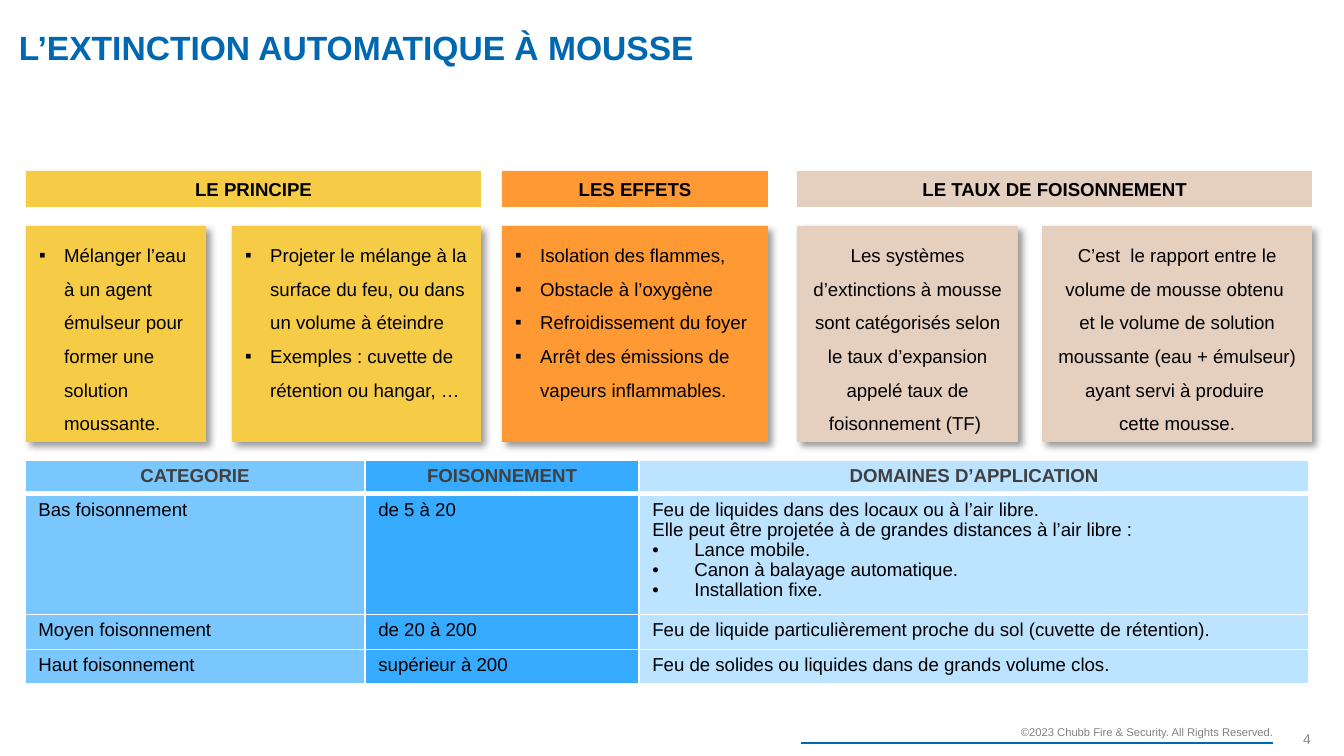
from lxml import etree
from pptx import Presentation
from pptx.dml.color import RGBColor
from pptx.enum.shapes import MSO_CONNECTOR, MSO_SHAPE
from pptx.enum.text import MSO_ANCHOR, PP_ALIGN
from pptx.oxml.ns import qn
from pptx.util import Emu, Pt

SCALE = 914400 / 134.4
LEFT, CENTER, RIGHT = PP_ALIGN.LEFT, PP_ALIGN.CENTER, PP_ALIGN.RIGHT
TOP, MIDDLE, BOTTOM = MSO_ANCHOR.TOP, MSO_ANCHOR.MIDDLE, MSO_ANCHOR.BOTTOM
RECTANGLE = MSO_SHAPE.RECTANGLE
STRAIGHT = MSO_CONNECTOR.STRAIGHT

FONT = "Arial"
BLUE, BLACK, WHITE, DARK = "0067B1", "000000", "FFFFFF", "404040"
YELLOW, ORANGE, BEIGE = "F6CB46", "FF9933", "E5CFBF"
COLUMN_FILLS = ["7AC7FF", "37ABFF", "BCE3FF"]
COLUMN_WIDTHS = [340, 274, 670]
ROW_HEIGHTS = [34, 117, 35, 34]
SQUARE, DOT = "▪", "•"

HEADINGS = [
    (26, 455, YELLOW, "LE PRINCIPE"),
    (502, 266, ORANGE, "LES EFFETS"),
    (797, 515, BEIGE, "LE TAUX DE FOISONNEMENT"),
]
CARDS = [
    (26, 180, YELLOW, SQUARE, [
        "Mélanger l’eau à un agent émulseur pour former une solution moussante."]),
    (232, 249, YELLOW, SQUARE, [
        "Projeter le mélange à la surface du feu, ou dans un volume à éteindre",
        "Exemples : cuvette de rétention ou hangar, …"]),
    (502, 266, ORANGE, SQUARE, [
        "Isolation des flammes,", "Obstacle à l’oxygène", "Refroidissement du foyer",
        "Arrêt des émissions de vapeurs inflammables."]),
    (797, 221, BEIGE, None, [
        "Les systèmes d’extinctions à mousse sont catégorisés selon le taux "
        "d’expansion appelé taux de foisonnement (TF) "]),
    (1042, 270, BEIGE, None, [
        "C’est  le rapport entre le volume de mousse obtenu ",
        "et le volume de solution moussante (eau + émulseur) ayant servi à produire ",
        "cette mousse."]),
]
TABLE_ROWS = [
    ("CATEGORIE", "FOISONNEMENT", "DOMAINES D’APPLICATION"),
    ("Bas foisonnement", "de 5 à 20", "Feu de liquides dans des locaux ou à l’air libre."),
    ("Moyen foisonnement", "de 20 à 200",
     "Feu de liquide particulièrement proche du sol (cuvette de rétention)."),
    ("Haut foisonnement", "supérieur à 200",
     "Feu de solides ou liquides dans de grands volume clos."),
]
LOW_RANGE = "Elle peut être projetée à de grandes distances à l’air libre :"
LOW_DEVICES = ["Lance mobile.", "Canon à balayage automatique.", "Installation fixe."]


def px(value):
    return Emu(round(value * SCALE))


def color(value):
    return RGBColor.from_string(value)


def set_bullet(paragraph, character, indent):
    properties = paragraph._p.get_or_add_pPr()
    properties.set("marL", str(px(indent)))
    properties.set("indent", str(-px(indent)))
    etree.SubElement(properties, qn("a:buFont"), typeface=FONT)
    etree.SubElement(properties, qn("a:buChar"), char=character)


def write(frame, lines, size=10, ink=BLACK, bold=False, align=LEFT, spacing=1.0,
          bullet=None, indent=25):
    for index, line in enumerate(lines):
        paragraph = frame.paragraphs[0] if index == 0 else frame.add_paragraph()
        paragraph.alignment = align
        paragraph.line_spacing = spacing
        paragraph.space_before = paragraph.space_after = Pt(0)
        if bullet:
            set_bullet(paragraph, bullet, indent)
        run = paragraph.add_run()
        run.text = line
        run.font.name = FONT
        run.font.size = Pt(size)
        run.font.bold = bold
        run.font.color.rgb = color(ink)


def clear_margins(frame, anchor):
    frame.word_wrap = True
    frame.vertical_anchor = anchor
    frame.margin_left = frame.margin_right = frame.margin_top = frame.margin_bottom = 0


def add_title(slide, text):
    title = slide.shapes.title
    title.left, title.top, title.width, title.height = px(19), px(11), px(989), px(77)
    clear_margins(title.text_frame, MIDDLE)
    write(title.text_frame, [text], 18, BLUE, True, spacing=0.9)


def add_label(slide, left, top, width, height, text, size, ink):
    box = slide.shapes.add_textbox(px(left), px(top), px(width), px(height))
    clear_margins(box.text_frame, BOTTOM)
    write(box.text_frame, [text], size, ink, align=RIGHT)


def add_panel(slide, left, top, width, height, fill):
    panel = slide.shapes.add_shape(RECTANGLE, px(left), px(top), px(width), px(height))
    panel.shadow.inherit = False
    panel.fill.solid()
    panel.fill.fore_color.rgb = color(fill)
    panel.line.fill.background()
    panel.text_frame.word_wrap = True
    panel.text_frame.vertical_anchor = TOP
    return panel


def add_heading(slide, left, width, fill, text):
    panel = add_panel(slide, left, 171, width, 36, fill)
    write(panel.text_frame, [text], bold=True, align=CENTER)


def add_card(slide, left, width, fill, bullet, lines):
    panel = add_panel(slide, left, 226, width, 216, fill)
    effects = panel._element.spPr.find(qn("a:effectLst"))
    shadow = etree.SubElement(effects, qn("a:outerShdw"), blurRad=str(Pt(4)),
                              dist=str(Pt(3)), dir="2700000", algn="tl", rotWithShape="0")
    ink = etree.SubElement(shadow, qn("a:srgbClr"), val=BLACK)
    etree.SubElement(ink, qn("a:alpha"), val="40000")
    write(panel.text_frame, lines, align=LEFT if bullet else CENTER,
          spacing=1.5, bullet=bullet)


def set_borders(cell, bottom):
    properties = cell._tc.get_or_add_tcPr()
    widths = {"a:lnL": 1, "a:lnR": 1, "a:lnT": 1, "a:lnB": bottom}
    for position, (tag, width) in enumerate(widths.items()):
        line = etree.Element(qn(tag), w=str(Pt(width)))
        fill = etree.SubElement(line, qn("a:solidFill"))
        etree.SubElement(fill, qn("a:srgbClr"), val=WHITE)
        properties.insert(position, line)


def add_category_table(slide):
    table = slide.shapes.add_table(
        len(TABLE_ROWS), len(COLUMN_WIDTHS), px(25), px(460),
        px(sum(COLUMN_WIDTHS)), px(sum(ROW_HEIGHTS))).table
    for column, width in zip(table.columns, COLUMN_WIDTHS):
        column.width = px(width)
    for row_index, (texts, height) in enumerate(zip(TABLE_ROWS, ROW_HEIGHTS)):
        table.rows[row_index].height = px(height)
        header = row_index == 0
        for column_index, (text, fill) in enumerate(zip(texts, COLUMN_FILLS)):
            cell = table.cell(row_index, column_index)
            cell.fill.solid()
            cell.fill.fore_color.rgb = color(fill)
            cell.margin_top = cell.margin_bottom = px(6)
            set_borders(cell, 3 if header else 1)
            write(cell.text_frame, [text], ink=DARK if header else BLACK, bold=header,
                  align=CENTER if header else LEFT, spacing=0.97)
    add_low_details(table.cell(1, 2).text_frame)


def add_low_details(frame):
    for line, bullet in [(LOW_RANGE, None)] + [(device, DOT) for device in LOW_DEVICES]:
        paragraph = frame.add_paragraph()
        paragraph.line_spacing = 0.97
        if bullet:
            set_bullet(paragraph, bullet, 42)
        run = paragraph.add_run()
        run.text = line
        run.font.name = FONT
        run.font.size = Pt(10)
        run.font.color.rgb = color(BLACK)


def add_footer(slide):
    add_label(slide, 70, 726, 1203, 13,
              "©2023 Chubb Fire & Security. All Rights Reserved.", 6, "808080")
    rule = slide.shapes.add_connector(STRAIGHT, px(801), px(743), px(1273), px(743))
    rule.line.color.rgb = color(BLUE)
    rule.line.width = Pt(1)
    etree.SubElement(rule._element.spPr, qn("a:effectLst"))
    add_label(slide, 1284, 727, 27, 20, "4", 7.5, "868686")


def main():
    presentation = Presentation()
    presentation.slide_width, presentation.slide_height = px(1344), px(756)
    slide = presentation.slides.add_slide(presentation.slide_layouts[5])
    add_title(slide, "L’EXTINCTION AUTOMATIQUE À MOUSSE")
    add_footer(slide)
    for heading in HEADINGS:
        add_heading(slide, *heading)
    for card in CARDS:
        add_card(slide, *card)
    add_category_table(slide)
    presentation.save("out.pptx")


if __name__ == "__main__":
    main()
